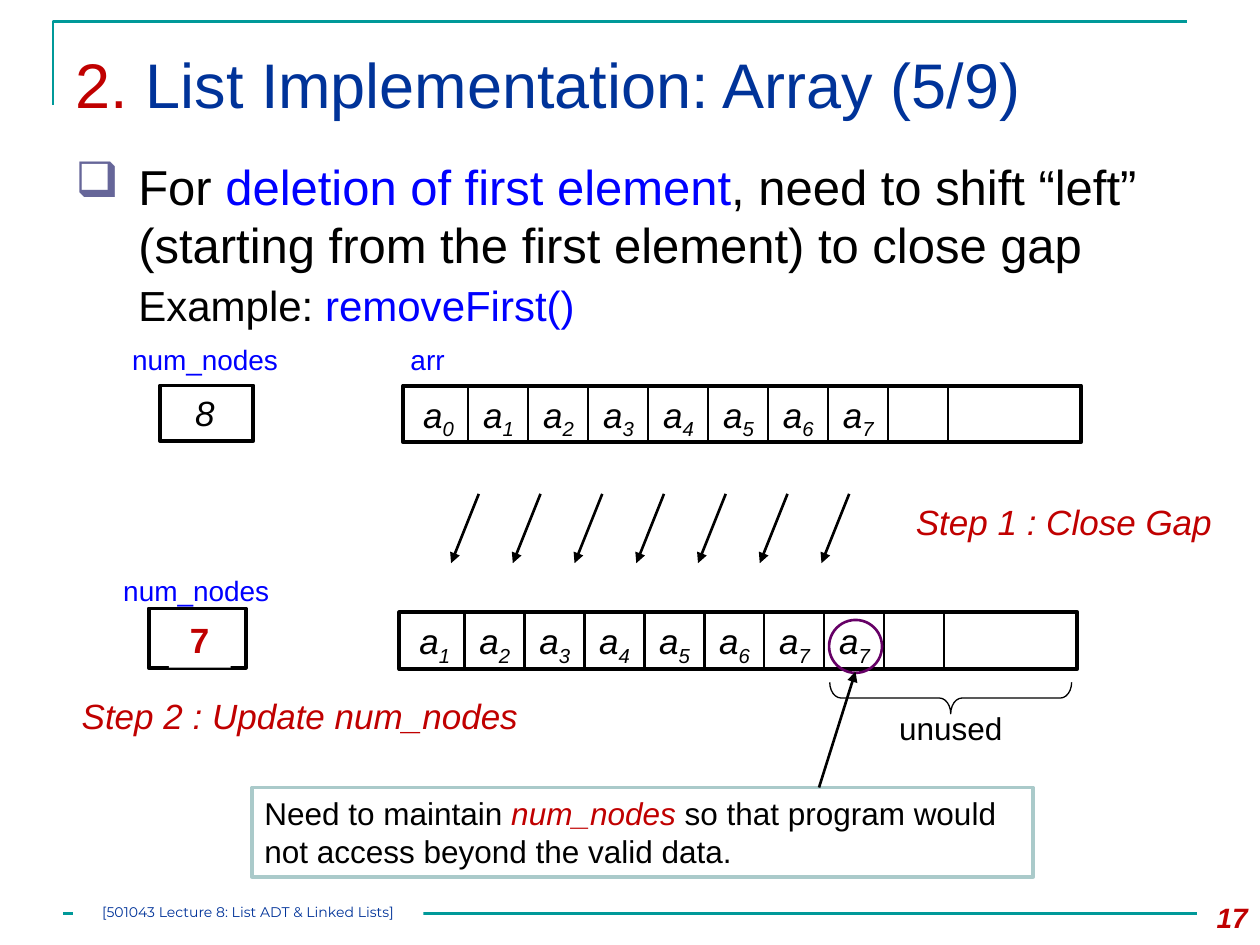
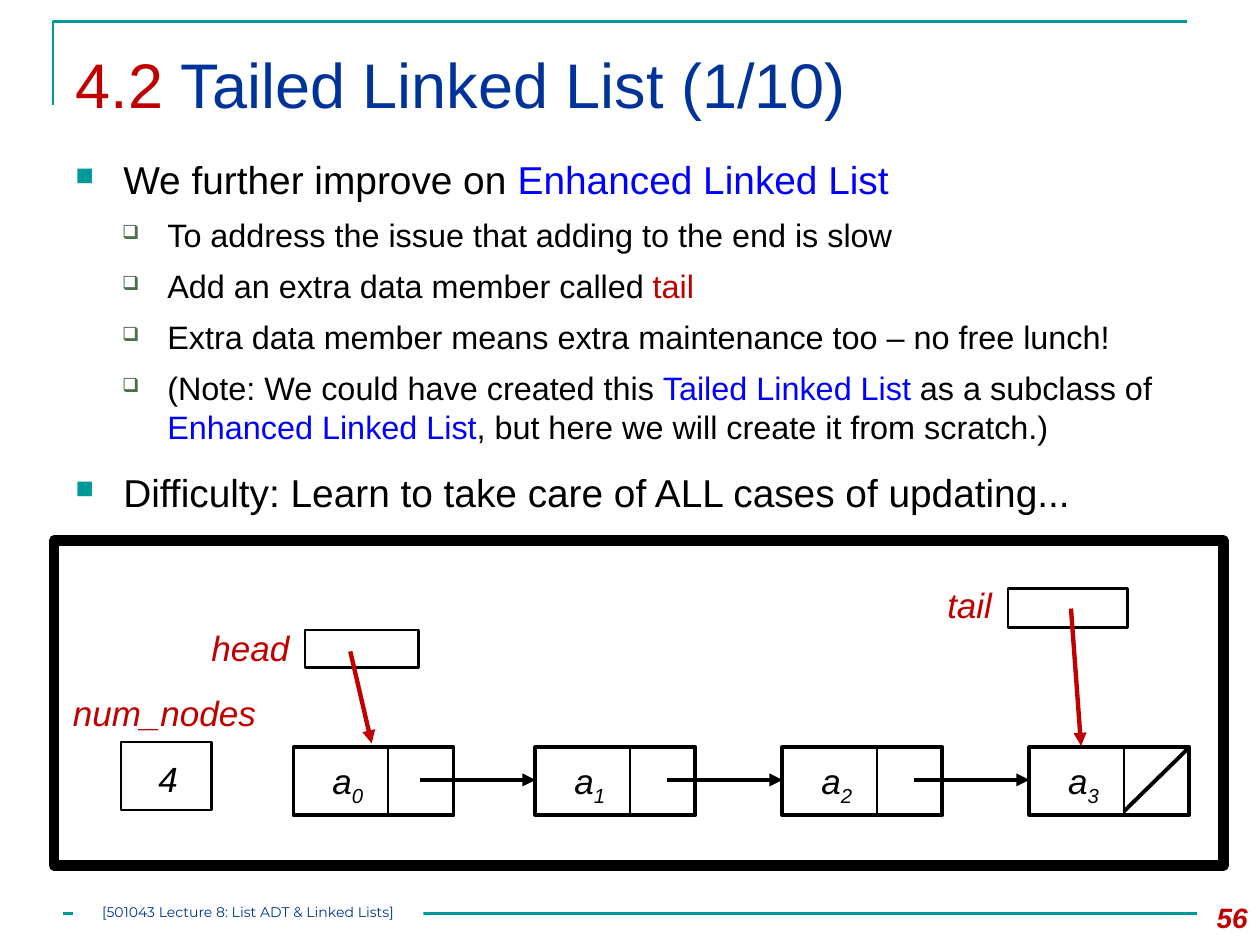
from lxml.etree import SubElement as Sub
from pptx import Presentation
from pptx.dml.color import RGBColor as RGB
from pptx.enum.shapes import MSO_CONNECTOR as Link, MSO_SHAPE as Kind
from pptx.enum.text import MSO_ANCHOR as Anchor, PP_ALIGN as Align
from pptx.oxml.ns import qn
from pptx.util import Inches as In, Pt

# Theme: colours, type sizes, fonts
THEME = {
    "ink": "000000", "paper": "FFFFFF", "blue": "0000FF", "navy": "003399",
    "red": "C00000", "teal": "009999", "plum": "660066", "mist": "AACACA",
    "violet": "666699", "moss": "4C6D4E",
    "title": 36, "lead": 28, "sub": 24, "main": 22.2, "item": 18.5,
    "mark": 20, "note": 18, "small": 16, "foot": 8,
    "font": "Arial", "alt": "Montserrat",
}
WIDE, TALL = 10, 7.5

# Run looks: colour and font values
LOOKS = {
    "ink": {}, "blue": {"color": "blue"}, "red": {"color": "red"},
    "navy": {"color": "navy"}, "math": {"italic": True},
    "step": {"color": "red", "italic": True},
    "bold": {"color": "red", "bold": True},
    "page": {"color": "red", "bold": True, "italic": True},
    "foot": {"color": "navy", "name": THEME["alt"]},
    "base": {"italic": True, "low": True},
}

# Bullet levels: glyph, colour, size share, left, hang, type size, space before
LEVELS = {
    "lead": ("❑", "violet", 100, 0.5, 0.5, "lead", 0),
    "main": ("■", "teal", 65, 0.38, 0.38, "main", 13),
    "item": ("❑", "moss", 60, 0.73, 0.36, "item", 7),
}

# Content
FOOT = "[501043 Lecture 8: List ADT & Linked Lists]"
ARRAY = {
    "title": ("2. ", "List Implementation: Array (5/9)"), "page": "17",
    "body": [("lead", [("For ", "ink"), ("deletion of first element", "blue"),
                       (", need to shift “left” (starting from the first "
                        "element) to close gap", "ink")])],
    "rows": [(3.2, 3.06, "01234567"), (3.17, 4.86, "12345677")],
    "notes": [
        (1, 2.17, 4, "sub", [("Example: ", "ink"), ("removeFirst()", "blue")]),
        (0.95, 2.67, 1.6, "small", [("num_nodes", "blue")]),
        (3.16, 2.67, 0.8, "small", [("arr", "blue")]),
        (0.88, 4.5, 1.6, "small", [("num_nodes", "blue")]),
        (1.45, 3.06, 0.5, "mark", [("8", "math")]),
        (7.17, 3.92, 2.75, "mark", [("Step 1 : Close Gap", "step")]),
        (0.55, 5.46, 3.9, "mark", [("Step 2 : Update num_nodes", "step")]),
    ],
    "call": [("Need to maintain ", "ink"), ("num_nodes", "step"),
             (" so that program would not access beyond the valid data.", "ink")],
}
TAILED = {
    "title": ("4.2 ", "Tailed Linked List (1/10)"), "page": "56",
    "body": [
        ("main", [("We further improve on ", "ink"),
                  ("Enhanced Linked List", "blue")]),
        ("item", [("To address the issue that adding to the end is slow", "ink")]),
        ("item", [("Add an extra data member called ", "ink"), ("tail", "red")]),
        ("item", [("Extra data member means extra maintenance too – "
                   "no free lunch!", "ink")]),
        ("item", [("(Note: We could have created this ", "ink"),
                  ("Tailed Linked List ", "blue"), ("as a subclass of ", "ink"),
                  ("Enhanced Linked List", "blue"),
                  (", but here we will create it from scratch.)", "ink")]),
        ("main", [("Difficulty: Learn to take care of ALL cases of updating...",
                   "ink")]),
    ],
    "nodes": [2.33, 4.25, 6.21, 8.17],
    "notes": [
        (0.48, 5.44, 1.8, "mark", [("num_nodes", "step")]),
        (1.16, 5.96, 0.5, "mark", [("4", "math")]),
        (1.58, 4.92, 0.95, "mark", [("head", "step")]),
        (7.42, 4.58, 0.7, "mark", [("tail", "step")]),
    ],
    "cells": [(0.96, 5.89, 0.72, 0.54), (2.42, 5, 0.9, 0.3),
              (8, 4.67, 0.95, 0.31)],
    "refs": [(2.78, 5.17, 2.95, 5.9), (8.5, 4.83, 8.58, 5.92)],
}


def hue(key):
    return RGB.from_string(THEME[key])


def write(para, runs, size):
    """Add styled runs to one paragraph."""
    for text, look in runs:
        run = para.add_run()
        run.text = text
        form = {"name": THEME["font"], "size": Pt(THEME[size]), **LOOKS[look]}
        run.font.color.rgb = hue(form.pop("color", "ink"))
        if form.pop("low", False):
            run._r.get_or_add_rPr().set("baseline", "-25000")
        for key, val in form.items():
            setattr(run.font, key, val)


def fill(frame, runs, size, align=Align.LEFT, **form):
    """Fill a frame with one paragraph."""
    for key, val in {"word_wrap": True, "vertical_anchor": Anchor.TOP,
                     **form}.items():
        setattr(frame, key, val)
    para = frame.paragraphs[0]
    para.alignment = align
    write(para, runs, size)


def note(page, x, y, w, size, runs, h=0.43, align=Align.LEFT):
    box = page.shapes.add_textbox(In(x), In(y), In(w), In(h))
    fill(box.text_frame, runs, size, align)


def plain(shape, line=None, width=1.5, back=None):
    """Give a shape its fill and line, and no shadow."""
    shape.shadow.inherit = False
    if back:
        shape.fill.solid()
        shape.fill.fore_color.rgb = hue(back)
    else:
        shape.fill.background()
    if line:
        shape.line.color.rgb = hue(line)
        shape.line.width = Pt(width)
    else:
        shape.line.fill.background()
    return shape


def block(page, x, y, w, h, line=None, width=1.5, back=None, kind=Kind.RECTANGLE):
    shape = page.shapes.add_shape(kind, In(x), In(y), In(w), In(h))
    return plain(shape, line, width, back)


def rule(page, x1, y1, x2, y2, line="ink", width=1.5, head=False):
    """Draw a straight line, with an arrowhead if asked."""
    bar = page.shapes.add_connector(Link.STRAIGHT, In(x1), In(y1), In(x2), In(y2))
    bar.line.color.rgb = hue(line)
    bar.line.width = Pt(width)
    if head:
        Sub(bar.line._get_or_add_ln(), qn("a:tailEnd"), type="triangle")
    Sub(bar._element.spPr, qn("a:effectLst"))


def term(page, x, y, sign):
    note(page, x, y, 0.6, "mark", [("a", "math"), (sign, "base")])


def bullet(para, level):
    glyph, color, share, left, hang, _, gap = LEVELS[level]
    prop = para._p.get_or_add_pPr()
    prop.set("marL", str(In(left)))
    prop.set("indent", str(-In(hang)))
    Sub(Sub(prop, qn("a:buClr")), qn("a:srgbClr"), val=THEME[color])
    Sub(prop, qn("a:buSzPct"), val=str(share * 1000))
    Sub(prop, qn("a:buChar"), char=glyph)
    return gap


def body(page, rows, w):
    box = page.shapes.add_textbox(In(0.5), In(1.19), In(w), In(2.86))
    frame = box.text_frame
    frame.word_wrap = True
    for i, (level, runs) in enumerate(rows):
        para = frame.add_paragraph() if i else frame.paragraphs[0]
        gap = bullet(para, level)
        para.space_before = Pt(gap if i else 0)
        write(para, runs, LEVELS[level][5])


def start(deck, data):
    """Make a slide with the shared title, corner line, footer and number."""
    page = deck.slides.add_slide(deck.slide_layouts[5])
    pen = page.shapes.build_freeform(In(0.42), In(0.83))
    pen.add_line_segments([(In(0.42), In(0.17)), (In(9.42), In(0.17))], close=False)
    plain(pen.convert_to_shape(), "teal")
    rule(page, 0.5, 7.25, WIDE - 0.5, 7.25, "teal")

    title = page.shapes.title
    spot = {"left": 0.5, "top": 0.23, "width": WIDE - 1, "height": 0.86}
    for key, val in spot.items():
        setattr(title, key, In(val))
    fill(title.text_frame, list(zip(data["title"], ("red", "navy"))), "title",
         vertical_anchor=Anchor.MIDDLE)

    foot = block(page, 0.58, 7.17, 2.78, 0.2, back="paper")
    edges = dict.fromkeys(("margin_left", "margin_top", "margin_right",
                           "margin_bottom"), 0)
    fill(foot.text_frame, [(FOOT, "foot")], "foot", Align.CENTER, **edges)
    note(page, 9.33, 7.1, 0.67, "small", [(data["page"], "page")], 0.4, Align.RIGHT)
    return page


def array(deck, data):
    page = start(deck, data)
    body(page, data["body"], 9)

    # Array rows: ten slots, the last one wider
    step, high = 0.476, 0.45
    for left, top, signs in data["rows"]:
        block(page, left, top, 5.38, high, "ink", 2.25)
        for i in range(9):
            x = left + 0.515 + i * step
            rule(page, x, top + 0.01, x, top + high - 0.01)
        for i, sign in enumerate(signs):
            term(page, left + 0.06 + i * step, top + 0.01, sign)

    # Shift arrows
    for i in range(7):
        x = 3.8 + i * 0.49
        rule(page, x, 3.92, x - 0.22, 4.47, head=True)

    # Counters
    block(page, 1.27, 3.06, 0.74, 0.44, "ink", 2.25)
    block(page, 1.18, 4.83, 0.77, 0.47, "ink", 2.25)
    count = block(page, 1.34, 4.86, 0.49, 0.44, back="paper")
    fill(count.text_frame, [("7", "bold")], "mark", Align.CENTER)
    for item in data["notes"]:
        note(page, *item)

    # Callout and ring
    call = block(page, 2, 6.25, 6.2, 0.71, "mist", 2, "paper")
    fill(call.text_frame, data["call"], "note")
    block(page, 6.58, 4.92, 0.42, 0.42, "plum", kind=Kind.OVAL)
    rule(page, 6.5, 6.25, 6.79, 5.33, head=True)

    # Unused slots
    brace = block(page, 7.42, 4.58, 0.25, 1.92, "ink", 0.75, kind=Kind.RIGHT_BRACE)
    brace.rotation = 90
    brace.adjustments[0] = 0.359
    note(page, 6.92, 5.58, 1.25, "note", [("unused", "ink")], 0.4, Align.CENTER)


def tailed(deck, data):
    page = start(deck, data)
    body(page, data["body"], 9.25)
    block(page, 0.43, 4.29, 9.28, 2.58, "ink", 6)

    # Nodes and links
    top, wide, high, split = 5.93, 1.27, 0.54, 0.75
    nodes = data["nodes"]
    for i, x in enumerate(nodes):
        block(page, x, top, wide, high, "ink", 2.25)
        rule(page, x + split, top, x + split, top + high)
        term(page, x + 0.21, top + 0.05, str(i))
    for x in nodes[1:]:
        rule(page, x - 0.92, 6.19, x, 6.19, width=2.5, head=True)
    last = nodes[-1]
    rule(page, last + wide, top, last + split, top + high - 0.03, width=2.25)

    # Counter, head and tail
    for cell in data["cells"]:
        block(page, *cell, "ink", 1.5, "paper")
    for ends in data["refs"]:
        rule(page, *ends, "red", 2.5, True)
    for item in data["notes"]:
        note(page, *item)


def main():
    deck = Presentation()
    deck.slide_width, deck.slide_height = In(WIDE), In(TALL)
    array(deck, ARRAY)
    tailed(deck, TAILED)
    deck.save("out.pptx")


if __name__ == "__main__":
    main()
